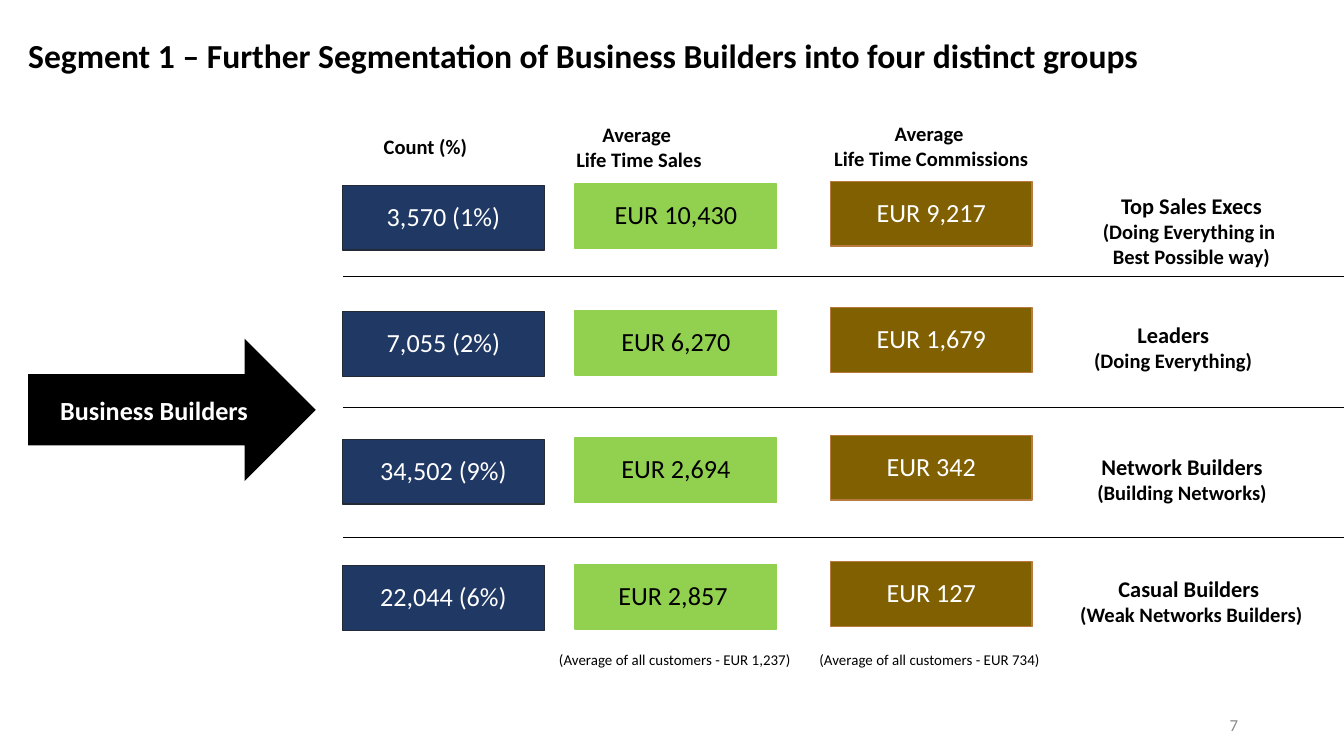
"""Build the slide that splits Business Builders into four groups."""
import pptx
import pptx.dml.color
import pptx.enum.shapes
import pptx.enum.text
import pptx.util
from lxml import etree

Inches = pptx.util.Inches
SHAPE = pptx.enum.shapes.MSO_SHAPE
ALIGN = pptx.enum.text.PP_ALIGN
AUTO_SIZE = pptx.enum.text.MSO_AUTO_SIZE
MIDDLE = pptx.enum.text.MSO_ANCHOR.MIDDLE
RGB = pptx.dml.color.RGBColor.from_string

COLORS = {
    "black": "000000", "white": "FFFFFF", "gray": "8C8C8C",
    "navy": "203864", "navy_line": "222A35", "green": "92D050",
    "brown": "806000", "brown_line": "B77B3E",
}
ROW_TOPS = [0, 0.94, 1.89, 2.83]
RULE_TOP, RULE_PITCH = 2.06, 0.97
GRID_LEFT = 2.55
CELL_W, CELL_H = 1.5, 0.48


def write(tf, lines, color="black", bold=False, align=ALIGN.CENTER, spacing=None):
    tf.text = "\n".join(text for text, size in lines)
    for p, (text, size) in zip(tf.paragraphs, lines):
        p.text = text
        p.alignment = align
        p.line_spacing = spacing
        for r in p.runs:
            r.font.name = "Calibri"
            r.font.size = pptx.util.Pt(size)
            r.font.bold = bold
            r.font.color.rgb = RGB(COLORS[color])


def add_block(kind, box, fill, line=None):
    sp = s.shapes.add_shape(kind, *map(Inches, box))
    sp.shadow.inherit = False
    sp.fill.solid()
    sp.fill.fore_color.rgb = RGB(COLORS[fill])
    if line:
        sp.line.color.rgb = RGB(COLORS[line])
        sp.line.width = pptx.util.Pt(0.75)
    else:
        sp.line.fill.background()
    sp.text_frame.word_wrap = True
    sp.text_frame.vertical_anchor = MIDDLE
    return sp


prs = pptx.Presentation()
prs.slide_width = Inches(10)
prs.slide_height = prs.slide_width * 9 // 16
s = prs.slides.add_slide(prs.slide_layouts[5])

title = s.shapes.title
title.left, title.top, title.width, title.height = map(Inches, (0.11, 0.11, 9.79, 0.64))
tf = title.text_frame
tf.auto_size = AUTO_SIZE.NONE
tf.vertical_anchor = MIDDLE
write(tf, [("Segment 1 – Further Segmentation of Business Builders into four distinct groups", 18)],
      bold=True, align=ALIGN.LEFT, spacing=0.9)

columns = [
    (GRID_LEFT, 1.38, "navy", "navy_line", "white",
     ["3,570 (1%)", "7,055 (2%)", "34,502 (9%)", "22,044 (6%)"]),
    (4.28, 1.37, "green", "green", "black",
     ["EUR 10,430", "EUR 6,270", "EUR 2,694", "EUR 2,857 "]),
    (6.18, 1.35, "brown", "brown_line", "white",
     ["EUR 9,217", "EUR 1,679", "EUR 342", "EUR 127"]),
]
for left, top, fill, line, color, values in columns:
    for row_top, value in zip(ROW_TOPS, values):
        box = (left, top + row_top, CELL_W, CELL_H)
        tf = add_block(SHAPE.RECTANGLE, box, fill, line).text_frame
        tf.margin_left = tf.margin_right = tf.margin_top = tf.margin_bottom = Inches(0.01)
        write(tf, [(value, 14)], color, spacing=0.9)

labels = [
    ((2.39, 0.95, 1.55, 0.29), [("Count (%)", 11)]),
    ((3.98, 0.86, 1.55, 0.29), [("Average ", 11), ("Life Time Sales", 11)]),
    ((6.44, 0.85, 0.98, 0.29), [("Average ", 11), ("Life Time Commissions", 11)]),
    ((8.09, 1.38, 1.55, 0.29),
     [("Top Sales Execs", 12), ("(Doing Everything in \vBest Possible way)", 11)]),
    ((8.3, 2.34, 0.86, 0.29), [("Leaders", 12), ("(Doing Everything)", 11)]),
    ((8.02, 3.32, 1.55, 0.29), [("Network Builders", 12), ("(Building Networks)", 11)]),
    ((8.4, 4.23, 0.93, 0.29), [("Casual Builders ", 12), ("(Weak Networks Builders)", 11)]),
    ((4.05, 4.81, 1.97, 0.22), [("(Average of all customers - EUR 1,237) ", 8)]),
    ((5.99, 4.81, 1.88, 0.22), [("(Average of all customers - EUR 734) ", 8)]),
]
for box, lines in labels:
    is_note = lines[0][1] == 8
    tf = s.shapes.add_textbox(*map(Inches, box)).text_frame
    tf.word_wrap = False
    tf.auto_size = AUTO_SIZE.SHAPE_TO_FIT_TEXT if is_note else AUTO_SIZE.NONE
    write(tf, lines, bold=not is_note, spacing=0.9 if is_note else None)

for i in range(3):
    y = Inches(RULE_TOP + i * RULE_PITCH)
    rule = s.shapes.add_connector(pptx.enum.shapes.MSO_CONNECTOR.STRAIGHT,
                                  Inches(GRID_LEFT), y, prs.slide_width, y)
    rule.line.color.rgb = RGB(COLORS["black"])
    rule.line.width = pptx.util.Pt(0.5)
    etree.SubElement(rule._element.spPr, pptx.oxml.ns.qn("a:effectLst"))

arrow = add_block(SHAPE.RIGHT_ARROW, (0.21, 2.52, 2.14, 1.06), "black")
write(arrow.text_frame, [("Business Builders", 14)], "white", bold=True)

tf = s.shapes.add_textbox(*map(Inches, (9.02, 5.24, 0.29, 0.3))).text_frame
tf.word_wrap = True
tf.vertical_anchor = MIDDLE
write(tf, [("7", 9)], "gray", align=ALIGN.RIGHT)

prs.save("out.pptx")
